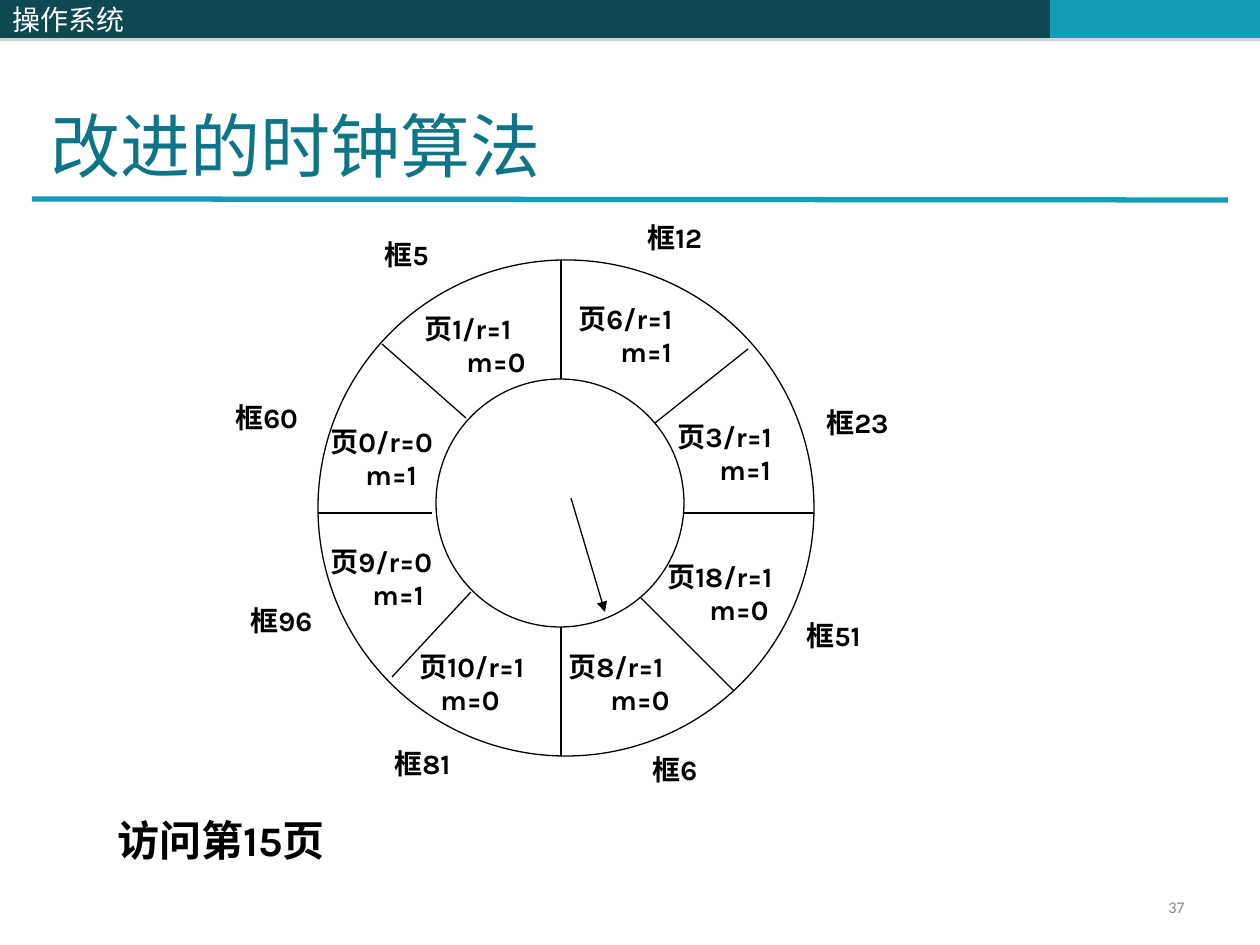
from dataclasses import dataclass

from lxml.etree import SubElement
from pptx import Presentation
from pptx.dml.color import RGBColor
from pptx.enum.shapes import MSO_CONNECTOR, MSO_SHAPE
from pptx.enum.text import MSO_ANCHOR as Anchor, MSO_AUTO_SIZE, PP_ALIGN as Align
from pptx.oxml.ns import qn
from pptx.util import Emu, Pt

EMU_PER_PX = 914400 / 126
DARK, TEAL, TITLE = "0E4851", "139CB7", "0E7589"
BLACK, WHITE, GRAY = "000000", "FFFFFF", "898989"


@dataclass
class Box:
    """A rectangle in px."""
    left: int
    top: int
    width: int
    height: int


@dataclass
class Style:
    """The look of a text run."""
    size: float
    font: str
    color: str
    bold: bool = False


@dataclass
class Bar:
    """A band of the header."""
    box: Box
    color: str
    text: str = ""


@dataclass
class Line:
    """A straight line between two points in px."""
    x1: int
    y1: int
    x2: int
    y2: int


@dataclass
class Sector:
    """A page with its reference and modified bits."""
    box: Box
    page: str
    modified: str
    indent: int = 42


@dataclass
class Label:
    """A single line of text in a box."""
    box: Box
    text: str


LABEL = Style(16, "Karla", BLACK, True)
REQUEST = Style(24, "Karla", BLACK, True)
COURSE = Style(16, "Noto Sans CJK SC", WHITE)
HEADING = Style(40, "Times New Roman", TITLE)
NUMBER = Style(9.3, "Calibri", GRAY)

BARS = [
    Bar(Box(514, 0, 536, 38), DARK),
    Bar(Box(1050, 0, 210, 38), TEAL),
    Bar(Box(0, 0, 514, 38), DARK, "操作系统"),
]
RINGS = [Box(318, 260, 496, 496), Box(436, 379, 248, 248)]
SPOKES = [
    Line(561, 627, 561, 756),
    Line(561, 260, 561, 379),
    Line(318, 513, 432, 513),
    Line(684, 513, 814, 513),
    Line(655, 423, 748, 349),
    Line(640, 597, 734, 691),
    Line(471, 592, 392, 677),
    Line(382, 344, 466, 418),
]
HAND = Line(571, 498, 605, 612)
SECTORS = [
    Sector(Box(566, 295, 149, 81), "页6/r=1", "m=1"),
    Sector(Box(665, 413, 144, 81), "页3/r=1", "m=1"),
    Sector(Box(655, 553, 159, 81), "页18/r=1", "m=0"),
    Sector(Box(556, 643, 144, 81), "页8/r=1", "m=0"),
    Sector(Box(407, 643, 169, 81), "页10/r=1", "m=0", 21),
    Sector(Box(318, 538, 149, 81), "页9/r=0", "m=1"),
    Sector(Box(318, 418, 144, 81), "页0/r=0", "m=1", 35),
    Sector(Box(412, 305, 149, 81), "页1/r=1", "m=0"),
]
FRAMES = [
    Label(Box(635, 214, 89, 81), "框12"),
    Label(Box(814, 399, 110, 47), "框23"),
    Label(Box(794, 612, 110, 47), "框51"),
    Label(Box(640, 746, 84, 47), "框6"),
    Label(Box(382, 740, 89, 81), "框81"),
    Label(Box(238, 597, 95, 47), "框96"),
    Label(Box(223, 394, 89, 81), "框60"),
    Label(Box(372, 231, 79, 47), "框5"),
]


def px(length: int) -> Emu:
    """Turn px into EMU."""
    return Emu(round(length * EMU_PER_PX))


def rgb(color: str) -> RGBColor:
    """Turn a hex string into a colour."""
    return RGBColor.from_string(color)


def place(box: Box) -> tuple:
    """Give the position and size of a box in EMU."""
    return px(box.left), px(box.top), px(box.width), px(box.height)


def add_run(paragraph, text: str, style: Style) -> None:
    """Append one formatted run."""
    run = paragraph.add_run()
    run.text = text
    run.font.size = Pt(style.size)
    run.font.name = style.font
    run.font.bold = style.bold
    run.font.color.rgb = rgb(style.color)


def add_label(slide, label: Label, style: Style):
    """Add a wrapping text box and return its frame."""
    frame = slide.shapes.add_textbox(*place(label.box)).text_frame
    frame.word_wrap = True
    add_run(frame.paragraphs[0], label.text, style)
    return frame


def add_sector(slide, sector: Sector) -> None:
    """Add a page label with its modified bit indented below."""
    frame = add_label(slide, Label(sector.box, sector.page), LABEL)
    paragraph = frame.add_paragraph()
    properties = paragraph._p.get_or_add_pPr()
    properties.set("marL", str(px(sector.indent)))
    properties.set("indent", "0")
    add_run(paragraph, sector.modified, LABEL)


def add_bar(slide, bar: Bar) -> None:
    """Add a header band with a thin shadow below it."""
    shape = slide.shapes.add_shape(MSO_SHAPE.RECTANGLE, *place(bar.box))
    shape.fill.solid()
    shape.fill.fore_color.rgb = rgb(bar.color)
    shape.line.fill.background()
    shape.shadow.inherit = False
    effects = shape._element.spPr.find(qn("a:effectLst"))
    shadow = SubElement(effects, qn("a:outerShdw"), blurRad="0", dist=str(Pt(1.8)),
                        dir="5400000", rotWithShape="0")
    color = SubElement(shadow, qn("a:srgbClr"), val="808080")
    SubElement(color, qn("a:alpha"), val="35000")
    if bar.text:
        frame = shape.text_frame
        frame.vertical_anchor = Anchor.MIDDLE
        frame.paragraphs[0].alignment = Align.LEFT
        add_run(frame.paragraphs[0], bar.text, COURSE)


def add_ring(slide, box: Box) -> None:
    """Add a white circle with a thin outline."""
    shape = slide.shapes.add_shape(MSO_SHAPE.OVAL, *place(box))
    shape.fill.solid()
    shape.fill.fore_color.rgb = rgb(WHITE)
    shape.line.color.rgb = rgb(BLACK)
    shape.line.width = Pt(0.75)
    shape.shadow.inherit = False


def add_line(slide, line: Line, color: str = BLACK, width: float = 0.75, arrow: bool = False) -> None:
    """Add a straight line, with an arrowhead at its end if asked."""
    connector = slide.shapes.add_connector(
        MSO_CONNECTOR.STRAIGHT, px(line.x1), px(line.y1), px(line.x2), px(line.y2))
    connector.line.color.rgb = rgb(color)
    connector.line.width = Pt(width)
    if arrow:
        SubElement(connector.line._get_or_add_ln(), qn("a:tailEnd"), type="triangle")
    SubElement(connector._element.spPr, qn("a:effectLst"))


def add_title(slide, label: Label) -> None:
    """Move and fill the title placeholder."""
    title = slide.shapes.title
    title.left, title.top, title.width, title.height = place(label.box)
    frame = title.text_frame
    frame.auto_size = MSO_AUTO_SIZE.NONE
    frame.vertical_anchor = Anchor.BOTTOM
    frame.paragraphs[0].alignment = Align.LEFT
    add_run(frame.paragraphs[0], label.text, HEADING)


def main() -> None:
    """Build the slide and save it."""
    presentation = Presentation()
    presentation.slide_width, presentation.slide_height = px(1260), px(945)
    slide = presentation.slides.add_slide(presentation.slide_layouts[5])
    for bar in BARS:
        add_bar(slide, bar)
    add_title(slide, Label(Box(38, 35, 1074, 158), "改进的时钟算法"))
    add_line(slide, Line(32, 199, 1228, 200), TEAL, 3)
    for ring in RINGS:
        add_ring(slide, ring)
    for spoke in SPOKES:
        add_line(slide, spoke)
    for sector in SECTORS:
        add_sector(slide, sector)
    add_line(slide, HAND, arrow=True)
    for label in FRAMES:
        add_label(slide, label, LABEL)
    add_label(slide, Label(Box(105, 808, 254, 113), "访问第15页"), REQUEST)
    number = add_label(slide, Label(Box(903, 892, 294, 34), "37"), NUMBER)
    number.vertical_anchor = Anchor.MIDDLE
    number.paragraphs[0].alignment = Align.RIGHT
    number.paragraphs[0].line_spacing = 0.8
    presentation.save("out.pptx")


if __name__ == "__main__":
    main()
